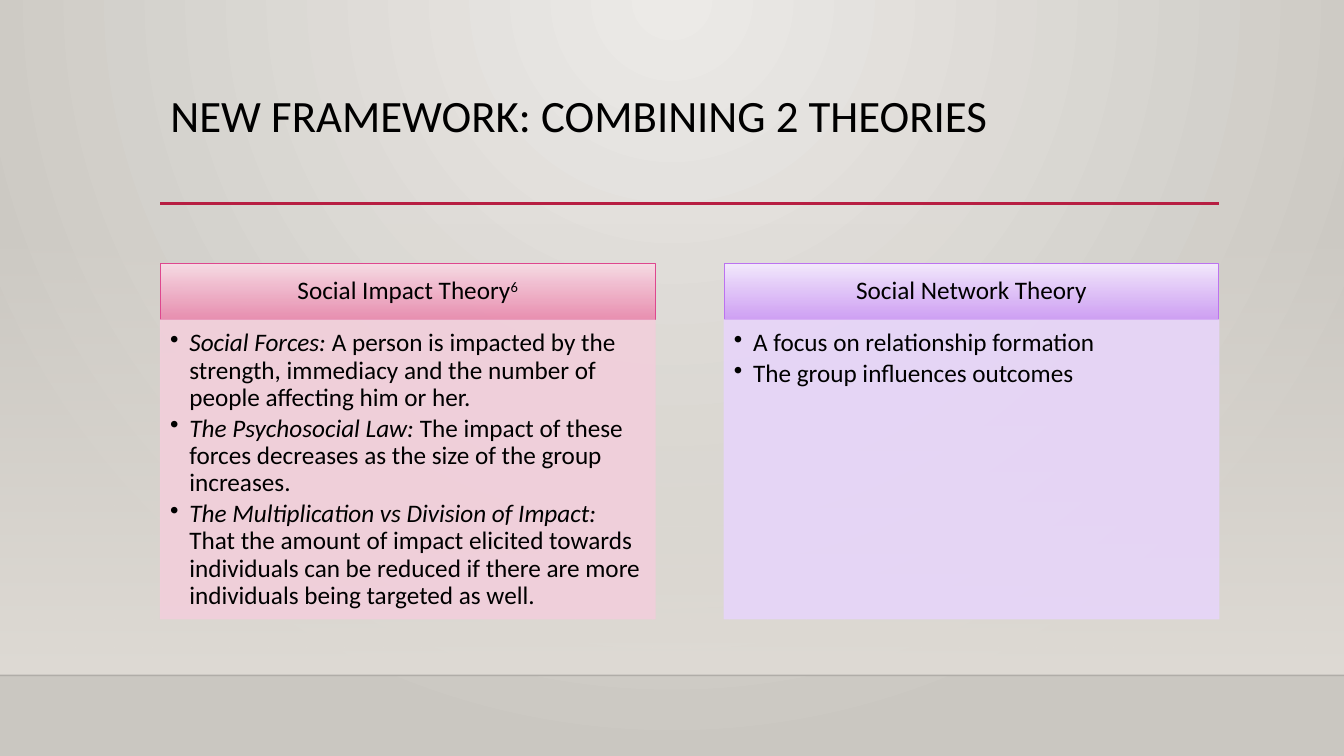
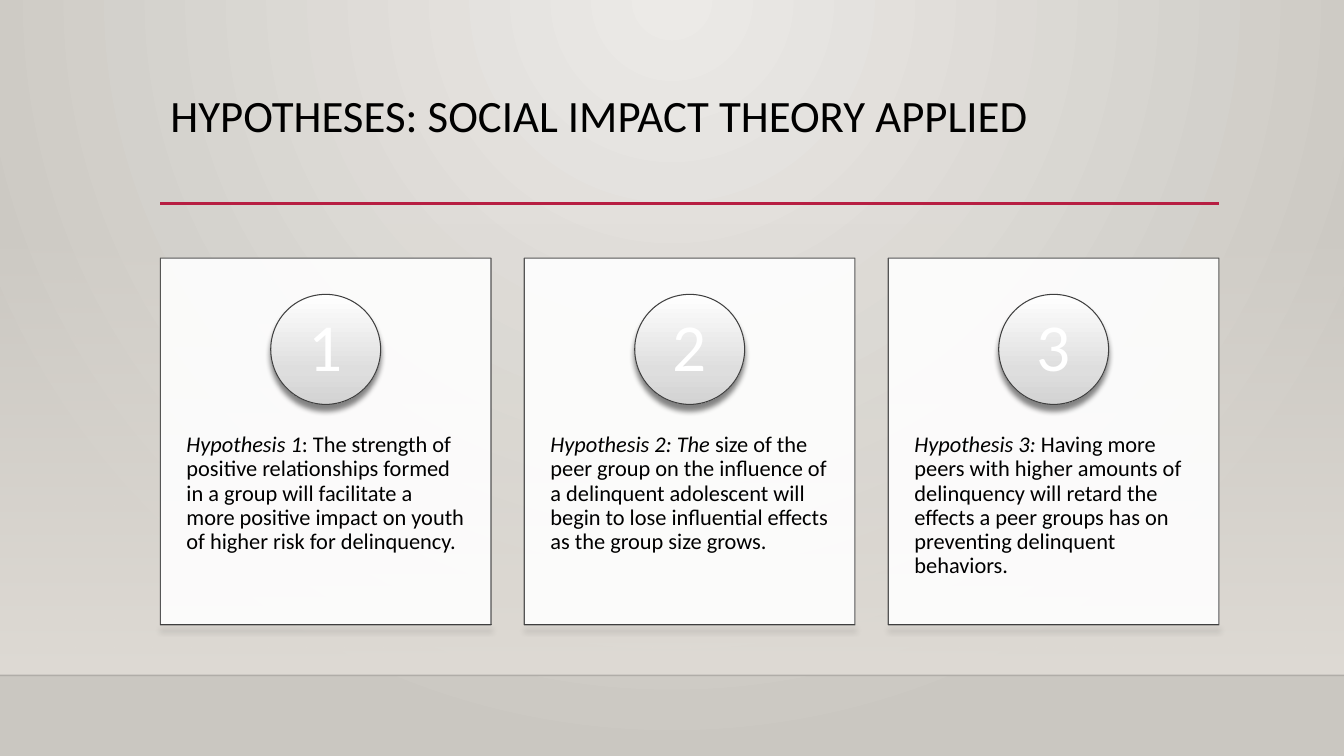
from lxml.etree import SubElement
from pptx import Presentation
from pptx.dml.color import RGBColor
from pptx.enum.shapes import MSO_CONNECTOR, MSO_SHAPE
from pptx.enum.text import MSO_ANCHOR, PP_ALIGN
from pptx.oxml.ns import qn
from pptx.oxml.xmlchemy import OxmlElement
from pptx.util import Inches, Pt

PAGE = (0, 0, Inches(13.33), Inches(7.5))
LEFT, SPAN = 11.93, 78.77
FONT = "Calibri"

BLACK = RGBColor(0x00, 0x00, 0x00)
WHITE = RGBColor(0xFF, 0xFF, 0xFF)
PEARL = RGBColor(0xEC, 0xEA, 0xE7)
STONE = RGBColor(0xCA, 0xC7, 0xC1)
SAND = RGBColor(0xDF, 0xDB, 0xD5)
CRIMSON = RGBColor(0xB7, 0x1E, 0x42)
GRAPHITE = RGBColor(0x45, 0x45, 0x45)
DARK = RGBColor(0x3F, 0x3F, 0x3F)
SILVER = [(0, WHITE, 100), (69, RGBColor(0xDE, 0xDE, 0xDE), 100),
          (100, RGBColor(0xD3, 0xD3, 0xD3), 100)]
PINK = {"stops": [(0, RGBColor(0xF7, 0xDC, 0xE5), 100),
                  (100, RGBColor(0xEA, 0x8A, 0xAE), 92)],
        "edge": RGBColor(0xDE, 0x47, 0x8E), "pale": RGBColor(0xF2, 0xCF, 0xDB)}
VIOLET = {"stops": [(0, RGBColor(0xF4, 0xEA, 0xFD), 100),
                    (100, RGBColor(0xCE, 0x9C, 0xF7), 92)],
          "edge": RGBColor(0xBC, 0x72, 0xF0), "pale": RGBColor(0xE7, 0xD5, 0xF9)}

THEORIES = [
    ("Social Impact Theory", "6", PINK, [
        ("Social Forces:", " A person is impacted by the strength, immediacy and "
         "the number of people affecting him or her."),
        ("The Psychosocial Law:", " The impact of these forces decreases as the "
         "size of the group increases."),
        ("The Multiplication vs Division of Impact:", " That the amount of impact "
         "elicited towards individuals can be reduced if there are more "
         "individuals being targeted as well.")]),
    ("Social Network Theory", "", VIOLET, [
        ("", "A focus on relationship formation"),
        ("", "The group influences outcomes")]),
]
CLAIMS = [
    ("Hypothesis 1", ": The strength of positive relationships formed in a group "
     "will facilitate a more positive impact on youth of higher risk for "
     "delinquency."),
    ("Hypothesis 2: The", " size of the peer group on the influence of a delinquent "
     "adolescent will begin to lose influential effects as the group size grows."),
    ("Hypothesis 3:", " Having more peers with higher amounts of delinquency will "
     "retard the effects a peer groups has on preventing delinquent behaviors."),
]


def part(box, x, y, w, h):
    """Return the area at the given percentages of a box."""
    left, top, width, height = box
    return (round(left + width * x / 100), round(top + height * y / 100),
            round(width * w / 100), round(height * h / 100))


def split(box, count, gap):
    """Divide a box into equal columns, with the gap in percent of its width."""
    width = (100 - gap * (count - 1)) / count
    return [part(box, i * (width + gap), 0, width, 100) for i in range(count)]


def fade(props, stops, angle=None):
    """Replace a solid fill by a gradient, round from the top if without angle."""
    grad = OxmlElement("a:gradFill")
    grad.set("rotWithShape", "1")
    marks = SubElement(grad, qn("a:gsLst"))
    for place, color, solid in stops:
        mark = SubElement(marks, qn("a:gs"), pos=str(place * 1000))
        tone = SubElement(mark, qn("a:srgbClr"), val=str(color))
        SubElement(tone, qn("a:alpha"), val=str(solid * 1000))
    if angle is None:
        ring = SubElement(grad, qn("a:path"), path="circle")
        SubElement(ring, qn("a:fillToRect"), l="43000", t="0", r="43000", b="100000")
    else:
        SubElement(grad, qn("a:lin"), ang=str(angle * 60000), scaled="0")
    props.replace(props.find(qn("a:solidFill")), grad)


def dim(props, solid):
    """Give the first solid colour below a node an opacity in percent."""
    tone = props.find(".//" + qn("a:solidFill")).find(qn("a:srgbClr"))
    SubElement(tone, qn("a:alpha"), val=str(solid * 1000))


def block(slide, box, fill, edge=None, kind=MSO_SHAPE.RECTANGLE, solid=100):
    """Add a shape with a plain colour or a list of gradient stops."""
    shape = slide.shapes.add_shape(kind, *box)
    shape.shadow.inherit = False
    shape.fill.solid()
    props = shape.element.spPr
    if isinstance(fill, list):
        fade(props, fill, 90)
    else:
        shape.fill.fore_color.rgb = fill
        dim(props, solid)
    if edge is None:
        shape.line.fill.background()
    else:
        shape.line.color.rgb = edge
        shape.line.width = Pt(0.75)
        dim(props.find(qn("a:ln")), solid)
    return shape


def drop(shape):
    """Cast a soft shadow straight down."""
    glow = SubElement(shape.element.spPr.find(qn("a:effectLst")), qn("a:outerShdw"),
                      blurRad=str(Pt(4)), dist=str(Pt(4)), dir="5400000",
                      rotWithShape="0")
    tone = SubElement(glow, qn("a:srgbClr"), val=str(BLACK))
    SubElement(tone, qn("a:alpha"), val="48000")


def rule(slide, box, color, width, solid=100):
    """Draw a line along the top of a box."""
    left, top, span, _ = box
    line = slide.shapes.add_connector(MSO_CONNECTOR.STRAIGHT, left, top,
                                      left + span, top)
    line.line.color.rgb = color
    line.line.width = Pt(width)
    dim(line.element.spPr, solid)
    SubElement(line.element.spPr, qn("a:effectLst"))
    return line


def pad(frame, insets, anchor=MSO_ANCHOR.TOP):
    """Set the insets (left, top, right, bottom) and the anchor of a text."""
    frame.word_wrap = True
    frame.vertical_anchor = anchor
    (frame.margin_left, frame.margin_top,
     frame.margin_right, frame.margin_bottom) = map(Inches, insets)


def write(para, lead, rest, size, color=BLACK, align=PP_ALIGN.LEFT):
    """Fill a paragraph with an italic lead and plain text."""
    para.line_spacing = 0.9
    para.alignment = align
    para.font.name = FONT
    para.font.size = Pt(size)
    para.font.color.rgb = color
    if lead:
        run = para.add_run()
        run.text = lead
        run.font.italic = True
    para.add_run().text = rest


def bullet(para):
    """Hang a paragraph behind a bullet."""
    props = para._p.get_or_add_pPr()
    props.set("marL", str(Inches(0.19)))
    props.set("indent", str(-Inches(0.19)))
    para.space_after = Pt(2.7)
    mark = OxmlElement("a:buChar")
    mark.set("char", "•")
    props.find(qn("a:spcAft")).addnext(mark)


def dress(layout, slide):
    """Put the background, haze and rules on the layout."""
    layout.background.fill.solid()
    fade(layout.element.find(".//" + qn("p:bgPr")),
         [(0, PEARL, 100), (100, STONE, 100)])
    parts = [
        block(slide, part(PAGE, 0, 29.47, 100, 59.87),
              [(0, SAND, 0), (100, SAND, 100)]),
        rule(slide, part(PAGE, 0, 89.33, 100, 0), BLACK, 1, 20),
        rule(slide, part(PAGE, LEFT, 26.93, SPAN, 0), CRIMSON, 2.5),
    ]
    for number, item in enumerate(parts, 100):
        item.element.find(".//" + qn("p:cNvPr")).set("id", str(number))
        layout.shapes.element.append(item.element)


def head(slide, text):
    """Place and fill the title."""
    title = slide.shapes.title
    title.left, title.top, title.width, title.height = part(
        PAGE, LEFT, 11.73, SPAN, 15.33)
    pad(title.text_frame, (0.1, 0.05, 0.1, 0.05))
    write(title.text_frame.paragraphs[0], "", text, 32)


def theory(slide, box, name, note, tones, items):
    """Draw a named panel with a bulleted list."""
    top = block(slide, part(box, 0, 0, 100, 16), tones["stops"], tones["edge"])
    pad(top.text_frame, (0.14, 0.08, 0.14, 0.08), MSO_ANCHOR.MIDDLE)
    para = top.text_frame.paragraphs[0]
    write(para, "", name, 18, align=PP_ALIGN.CENTER)
    if note:
        run = para.add_run()
        run.text = note
        run._r.get_or_add_rPr().set("baseline", "30000")
    body = block(slide, part(box, 0, 16, 100, 84), tones["pale"], tones["pale"],
                 solid=90)
    frame = body.text_frame
    pad(frame, (0.1, 0.1, 0.14, 0.16))
    for i, (lead, rest) in enumerate(items):
        para = frame.add_paragraph() if i else frame.paragraphs[0]
        bullet(para)
        write(para, lead, rest, 18)


def claim(slide, box, number, lead, rest):
    """Draw a card with a numbered badge above its text."""
    card = block(slide, box, WHITE, GRAPHITE, solid=90)
    pad(card.text_frame, (0.26, 1.74, 0.26, 0.1))
    write(card.text_frame.paragraphs[0], lead, rest, 16)
    badge = block(slide, part(box, 33.38, 9.9, 33.24, 30), SILVER, DARK,
                  MSO_SHAPE.OVAL)
    drop(badge)
    pad(badge.text_frame, (0, 0, 0, 0), MSO_ANCHOR.MIDDLE)
    write(badge.text_frame.paragraphs[0], "", str(number), 48, WHITE,
          PP_ALIGN.CENTER)
    drop(block(slide, part(box, 0, 100, 100, 0), SILVER, DARK))


def main():
    """Build and save the deck."""
    deck = Presentation()
    deck.slide_width, deck.slide_height = PAGE[2:]
    layout = deck.slide_layouts[5]

    slide = deck.slides.add_slide(layout)
    dress(layout, slide)
    head(slide, "NEW FRAMEWORK: COMBINING 2 THEORIES")
    for box, row in zip(split(part(PAGE, LEFT, 34.8, SPAN, 47.07), 2, 6.5), THEORIES):
        theory(slide, box, *row)

    slide = deck.slides.add_slide(layout)
    head(slide, "HYPOTHESES: SOCIAL IMPACT THEORY APPLIED")
    boxes = split(part(PAGE, LEFT, 34.13, SPAN, 48.53), 3, 3.14)
    for number, (box, row) in enumerate(zip(boxes, CLAIMS), 1):
        claim(slide, box, number, *row)

    deck.save("out.pptx")


if __name__ == "__main__":
    main()
